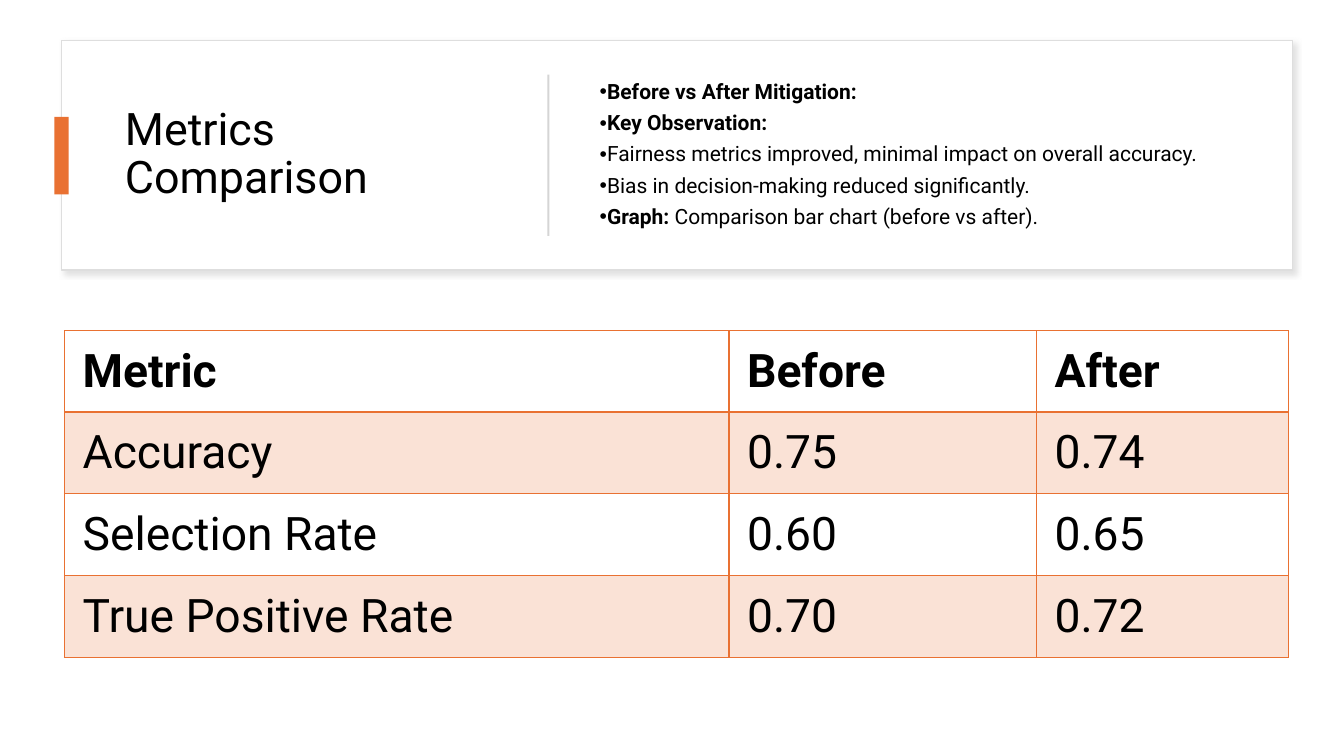
from lxml import etree
from pptx import Presentation, util as u
from pptx.dml.color import RGBColor
from pptx.enum import shapes, text
from pptx.oxml import parse_xml
from pptx.oxml.ns import nsdecls, qn

PX = 9144  # EMU per px, 100 px to the inch
THEME = dict(font="Roboto", ink="000000", paper="FFFFFF", accent="E97132",
             edge="DEDEDE", rule="D5D5D5", shadow="C5C5C5",
             title=32, body=15, cell=33)


def add_run(p, words, size, bold=False):
    r = p.add_run()
    r.text = words
    for name, value in dict(name=THEME["font"], size=u.Pt(size), bold=bold).items():
        setattr(r.font, name, value)
    r.font.color.rgb = RGBColor.from_string(THEME["ink"])


def add_box(s, *at):
    tf = s.shapes.add_textbox(*(v * PX for v in at)).text_frame
    tf.word_wrap = True
    tf.vertical_anchor = text.MSO_ANCHOR.MIDDLE
    return tf


prs = Presentation()
prs.slide_width, prs.slide_height = 1333 * PX, 750 * PX
s = prs.slides.add_slide(prs.slide_layouts[6])

# Card, accent tab and divider
blocks = {}
for name, at, fill in [("card", (61, 40, 1221, 228), "paper"),
                       ("tab", (54, 116, 14, 77), "accent"),
                       ("divider", (543, 74, 2, 160), "rule")]:
    sp = s.shapes.add_shape(shapes.MSO_SHAPE.RECTANGLE, *(v * PX for v in at))
    sp.shadow.inherit = False
    sp.fill.solid()
    sp.fill.fore_color.rgb = RGBColor.from_string(THEME[fill])
    sp.line.fill.background()
    blocks[name] = sp

card = blocks["card"]
card.line.color.rgb = RGBColor.from_string(THEME["edge"])
card.line.width = u.Pt(1)
card._element.spPr.find(qn("a:effectLst")).append(parse_xml(
    f'<a:outerShdw {nsdecls("a")} blurRad="{u.Pt(4)}" dist="{u.Pt(3)}" dir="2700000" '
    f'algn="tl" rotWithShape="0"><a:srgbClr val="{THEME["shadow"]}">'
    '<a:alpha val="50000"/></a:srgbClr></a:outerShdw>'))

# Title
p = add_box(s, 114, 64, 389, 180).paragraphs[0]
p.line_spacing = 0.9
add_run(p, "Metrics Comparison", THEME["title"])

# Bullets: each is a list of (words, bold)
bullets = [
    [("Before vs After Mitigation:", True)],
    [("Key Observation:", True)],
    [("Fairness metrics improved, minimal impact on overall accuracy.", False)],
    [("Bias in decision-making reduced significantly.", False)],
    [("Graph:", True), (" Comparison bar chart (before vs after).", False)],
]
tf = add_box(s, 585, 64, 656, 180)
for i, runs in enumerate(bullets):
    p = tf.add_paragraph() if i else tf.paragraphs[0]
    p.line_spacing, p.space_after = 0.9, u.Pt(6)
    pPr = p._p.get_or_add_pPr()
    pPr.set("marL", "0")
    pPr.set("indent", str(-25 * PX))
    etree.SubElement(pPr, qn("a:buFont")).set("typeface", "Arial")
    etree.SubElement(pPr, qn("a:buChar")).set("char", "•")
    for words, bold in runs:
        add_run(p, words, THEME["body"], bold)

# Metrics table
rows = [("Metric", "Before", "After"),
        ("Accuracy", "0.75", "0.74"),
        ("Selection Rate", "0.60", "0.65"),
        ("True Positive Rate", "0.70", "0.72")]
widths, row_height = (659, 305, 250), 81
table = s.shapes.add_table(len(rows), len(widths), 64 * PX, 328 * PX,
                           sum(widths) * PX, len(rows) * row_height * PX).table
for col, width in zip(table.columns, widths):
    col.width = width * PX
cell_format = dict(margin_left=18 * PX, margin_right=18 * PX,
                   margin_top=9 * PX, margin_bottom=9 * PX,
                   vertical_anchor=text.MSO_ANCHOR.MIDDLE)
for i, row in enumerate(rows):
    table.rows[i].height = row_height * PX
    for j, words in enumerate(row):
        cell = table.cell(i, j)
        for name, value in cell_format.items():
            setattr(cell, name, value)
        add_run(cell.text_frame.paragraphs[0], words, THEME["cell"], bold=i == 0)
        # Borders, heavier between the header and the body
        tcPr = cell._tc.get_or_add_tcPr()
        for side in "LRTB":
            heavy = (i, side) in [(0, "B"), (1, "T")]
            tcPr.append(parse_xml(
                f'<a:ln{side} {nsdecls("a")} w="{u.Pt(2 if heavy else 1)}"><a:solidFill>'
                f'<a:srgbClr val="{THEME["accent"]}"/></a:solidFill></a:ln{side}>'))
        # Odd rows carry a light accent tint
        if i % 2:
            cell.fill.solid()
            cell.fill.fore_color.rgb = RGBColor.from_string(THEME["accent"])
            color = tcPr.find(qn("a:solidFill")).find(qn("a:srgbClr"))
            etree.SubElement(color, qn("a:alpha")).set("val", "20000")
        else:
            cell.fill.background()

prs.save("out.pptx")
